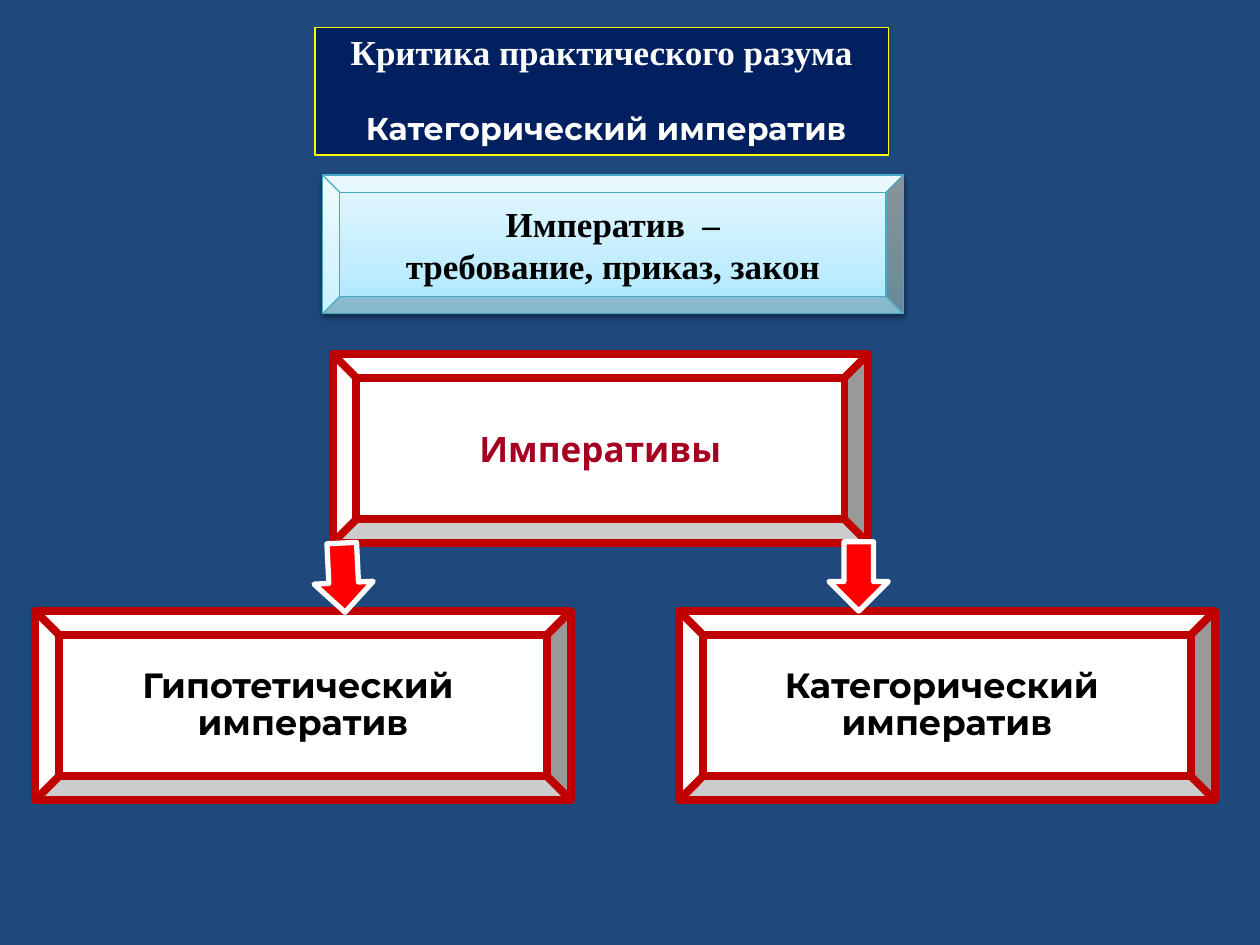
from copy import deepcopy

from lxml.etree import SubElement
from pptx import Presentation
from pptx.dml.color import RGBColor
from pptx.enum.shapes import MSO_SHAPE
from pptx.enum.text import MSO_ANCHOR, PP_ALIGN
from pptx.oxml.ns import qn
from pptx.util import Inches, Pt

COLORS = {
    "background": "1F497D", "navy": "002060", "yellow": "FFFF00",
    "white": "FFFFFF", "black": "000000", "crimson": "A50021",
    "frame": "C00000", "arrow": "FF0000", "teal": "46AAC5",
    "sky": "A7E6FF", "pale_sky": "C1EDFF", "ice": "E7F8FF",
}


def rgb(name):
    return RGBColor.from_string(COLORS[name])


def add_block(kind, box, fill, line, width, paragraphs=(), wrap=False):
    block = slide.shapes.add_shape(kind, *[Inches(v) for v in box])
    block.shadow.inherit = False
    block.fill.solid()
    block.fill.fore_color.rgb = rgb(fill)
    block.line.color.rgb = rgb(line)
    block.line.width = Pt(width)
    frame = block.text_frame
    frame.word_wrap = wrap
    frame.vertical_anchor = MSO_ANCHOR.MIDDLE
    for index, (text, font, size, color, layout) in enumerate(paragraphs):
        paragraph = frame.add_paragraph() if index else frame.paragraphs[0]
        paragraph.text = text
        for key, value in {"alignment": PP_ALIGN.CENTER, **layout}.items():
            setattr(paragraph, key, value)
        for run in paragraph.runs:
            for key, value in {"name": font, "size": Pt(size), "bold": True}.items():
                setattr(run.font, key, value)
            run.font.color.rgb = rgb(color)
    return block


prs = Presentation()
prs.slide_width = Inches(10)
prs.slide_height = Inches(7.5)
slide = prs.slides.add_slide(prs.slide_layouts[6])
slide.background.fill.solid()
slide.background.fill.fore_color.rgb = rgb("background")

tight = {"line_spacing": 0.9}
add_block(MSO_SHAPE.RECTANGLE, (2.5, 0.22, 4.55, 1.01), "navy", "yellow", 0.75, [
    ("Критика практического разума", "Times New Roman", 20, "white", tight),
    (" Категорический императив", "Montserrat", 18, "white", {**tight, "space_before": Pt(23)}),
], wrap=True)

definition = add_block(MSO_SHAPE.BEVEL, (2.56, 1.39, 4.61, 1.1), "ice", "teal", 0.75, [
    ("Императив  –\nтребование, приказ, закон", "Times New Roman", 20, "black", {}),
])
definition.fill.gradient()
definition.fill.gradient_angle = 90
properties = definition._element.spPr
stop_list = properties.find(".//" + qn("a:gsLst"))
stop_list.append(deepcopy(stop_list[0]))
shades = [(0, "sky"), (0.35, "pale_sky"), (1, "ice")]
for stop, (position, shade) in zip(definition.fill.gradient_stops, shades):
    stop.position = position
    stop.color.rgb = rgb(shade)

shadow = SubElement(properties.find(qn("a:effectLst")), qn("a:outerShdw"),
                    blurRad=str(Pt(3.1)), dist=str(Pt(1.6)), dir="5400000", rotWithShape="0")
shadow_color = SubElement(shadow, qn("a:srgbClr"), val=COLORS["black"])
SubElement(shadow_color, qn("a:alpha"), val="38000")

imperatives = [
    (2.64, 2.81, "Императивы", "Cabin", "crimson", {}),
    (5.39, 4.85, "Категорический \nимператив", "Montserrat", "black", tight),
    (0.28, 4.85, "Гипотетический \nимператив", "Montserrat", "black", tight),
]
for left, top, text, font, color, layout in imperatives:
    add_block(MSO_SHAPE.BEVEL, (left, top, 4.25, 1.5), "white", "frame", 4.5,
              [(text, font, 20, color, layout)])

for left, top, rotation in [(2.45, 4.35, 87.2), (6.54, 4.34, 90)]:
    arrow = add_block(MSO_SHAPE.RIGHT_ARROW, (left, top, 0.55, 0.47), "arrow", "white", 3)
    arrow.rotation = rotation

prs.save("out.pptx")
